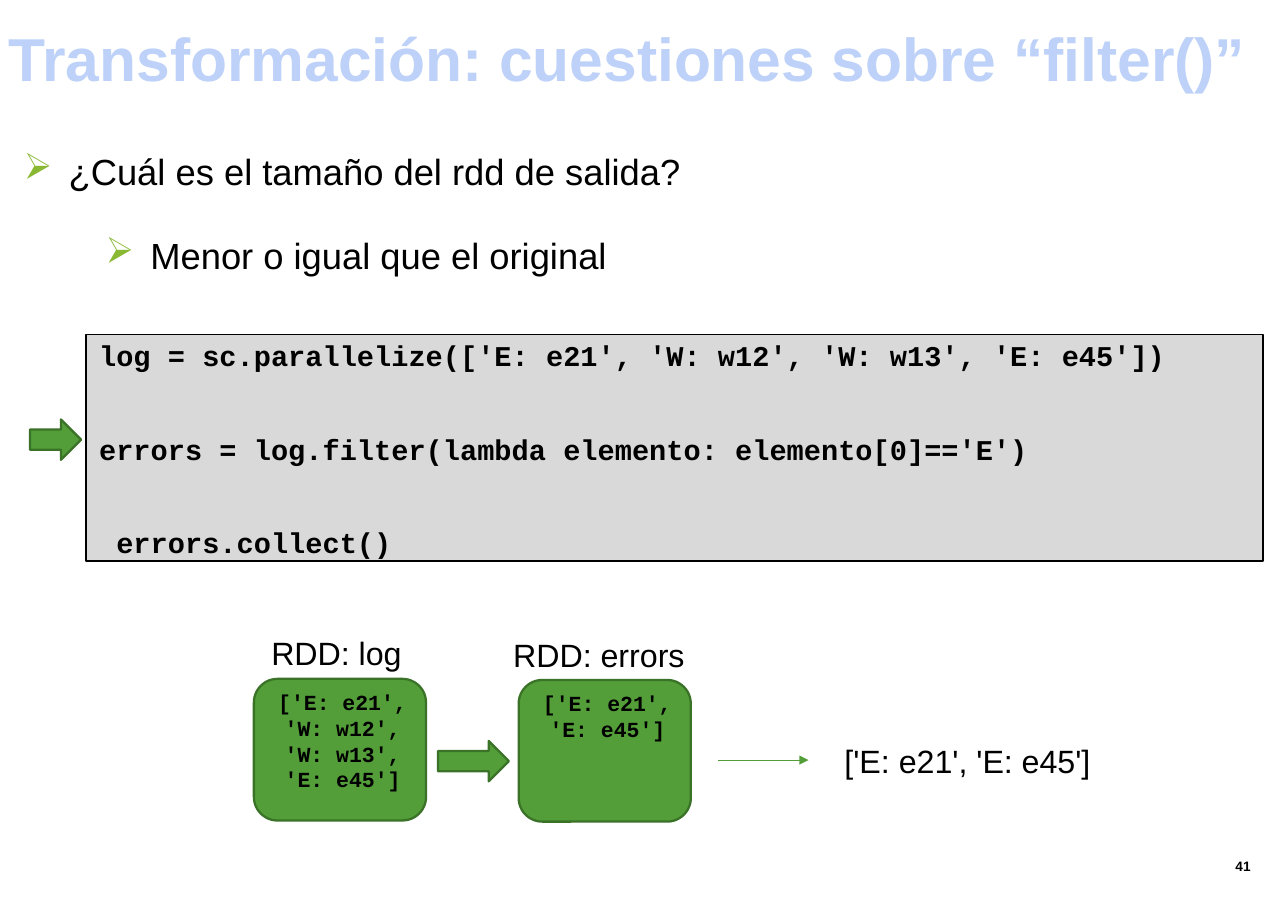
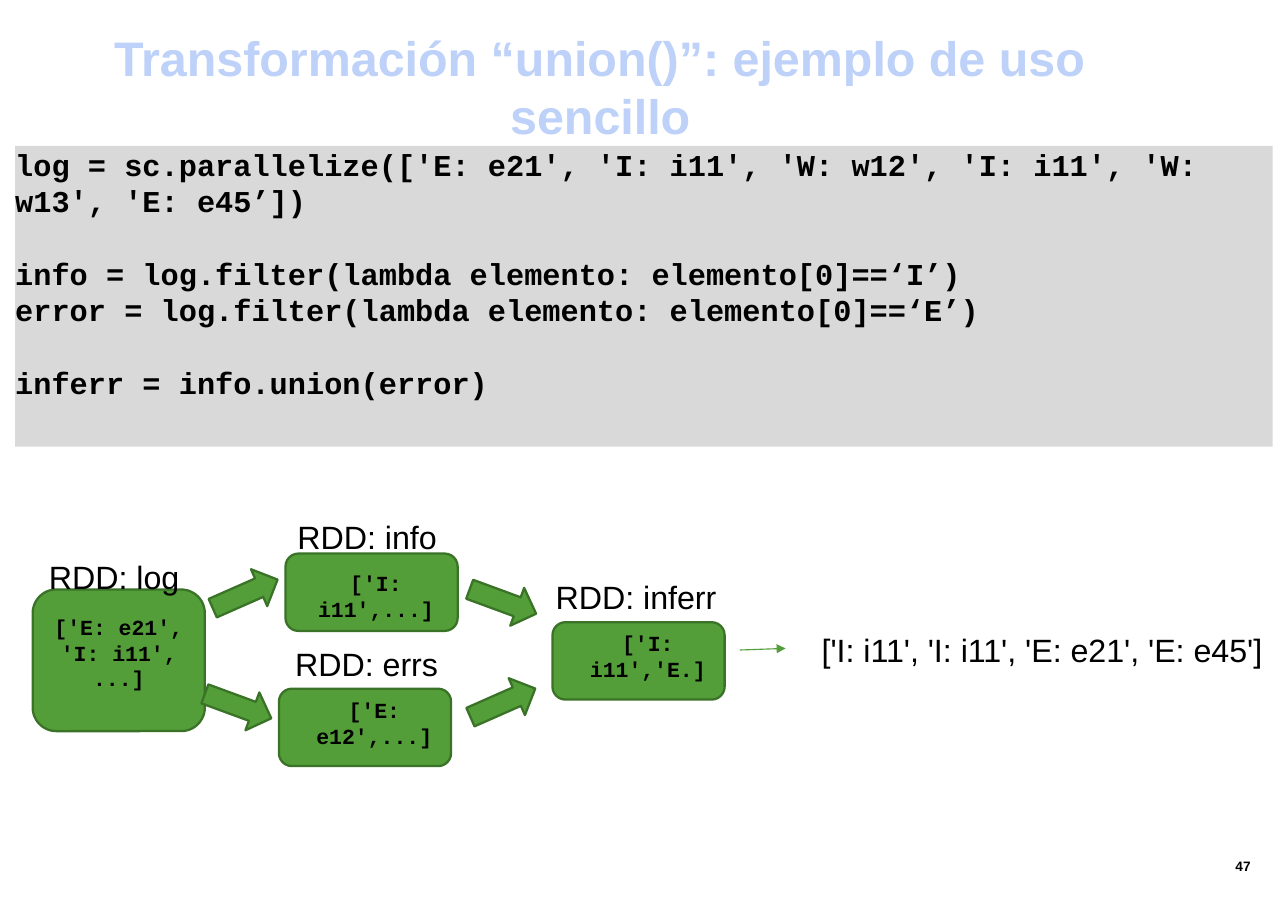
from lxml import etree
from pptx import Presentation
from pptx.dml.color import RGBColor
from pptx.enum.shapes import MSO_CONNECTOR, MSO_SHAPE
from pptx.enum.text import MSO_ANCHOR, MSO_AUTO_SIZE, PP_ALIGN
from pptx.oxml.ns import qn
from pptx.util import Inches, Pt

LEFT, CENTER = PP_ALIGN.LEFT, PP_ALIGN.CENTER
TOP, MIDDLE = MSO_ANCHOR.TOP, MSO_ANCHOR.MIDDLE
RECT, ROUNDED = MSO_SHAPE.RECTANGLE, MSO_SHAPE.ROUNDED_RECTANGLE
BLOCK_ARROW = MSO_SHAPE.RIGHT_ARROW
STRAIGHT = MSO_CONNECTOR.STRAIGHT
NO_FIT = MSO_AUTO_SIZE.NONE

COLORS = {
    "title": "BDD1F9",
    "text": "000000",
    "bullet": "89B833",
    "green": "539E39",
    "green_edge": "3A7327",
    "code": "D9D9D9",
}
SANS, MONO = "Arial", "Courier New"
TITLE_ONLY = 5
CELL = 0.1
NODE_W = 15.8
ARROW_W, ARROW_H = 6.5, 3.7


def rgb(name):
    return RGBColor.from_string(COLORS[name])


def cells(*values):
    return [Inches(v * CELL) for v in values]


def write(tf, lines, size=21.3, font=SANS, color="text", bold=False, align=LEFT,
          anchor=TOP, insets=(0, 0, 0, 0), wrap=True, spacing=None, before=None,
          margins=None, hanging=0, bullet=None):
    tf.auto_size = NO_FIT
    tf.word_wrap = wrap
    tf.vertical_anchor = anchor
    tf.margin_left, tf.margin_top, tf.margin_right, tf.margin_bottom = cells(*insets)
    for i, line in enumerate(lines):
        p = tf.paragraphs[0] if i == 0 else tf.add_paragraph()
        p.alignment = align
        if margins:
            left, first = cells(margins[i], -hanging)
            pPr = p._p.get_or_add_pPr()
            pPr.set("marL", str(left))
            pPr.set("indent", str(first))
        if spacing and i:
            p.line_spacing = spacing
        if before and before[i]:
            p.space_before = Pt(before[i])
        if bullet:
            pPr = p._p.get_or_add_pPr()
            bu_clr = etree.SubElement(pPr, qn("a:buClr"))
            etree.SubElement(bu_clr, qn("a:srgbClr"), val=COLORS["bullet"])
            etree.SubElement(pPr, qn("a:buFont"), typeface="Wingdings")
            etree.SubElement(pPr, qn("a:buChar"), char=bullet)
        r = p.add_run()
        r.text = line
        r.font.size = Pt(size)
        r.font.name = font
        r.font.bold = bold
        r.font.color.rgb = rgb(color)


class Deck:
    def __init__(self, width, height):
        self.prs = Presentation()
        self.prs.slide_width, self.prs.slide_height = Inches(width), Inches(height)
        self.s = None

    def slide(self, title, number, box, size):
        self.s = self.prs.slides.add_slide(self.prs.slide_layouts[TITLE_ONLY])
        sp = self.s.shapes.title
        sp.left, sp.top, sp.width, sp.height = cells(*box)
        write(sp.text_frame, [title], size=size, color="title", bold=True,
              align=CENTER, insets=(1, 0.5, 1, 0.5))
        self.text(112.4, 77.5, 4.6, 4, [str(number)], size=9, bold=True,
                  anchor=MIDDLE, insets=(1, 0.5, 1, 0.5), wrap=False)

    def text(self, x, y, w, h, lines, **style):
        sp = self.s.shapes.add_textbox(*cells(x, y, w, h))
        write(sp.text_frame, lines, **style)

    def shape(self, kind, x, y, w, h, fill, edge=None, weight=1.5):
        sp = self.s.shapes.add_shape(kind, *cells(x, y, w, h))
        sp.shadow.inherit = False
        sp.fill.solid()
        sp.fill.fore_color.rgb = rgb(fill)
        if edge:
            sp.line.color.rgb = rgb(edge)
            sp.line.width = Pt(weight)
        else:
            sp.line.fill.background()
        return sp

    def code(self, x, y, w, h, lines, edge=None, **style):
        sp = self.shape(RECT, x, y, w, h, "code", edge, weight=1)
        write(sp.text_frame, lines, font=MONO, bold=True, **style)

    def label(self, x, y, text):
        self.text(x, y, 16, 3.7, [text], wrap=False)

    def node(self, x, y, h, name, name_at, lines, drop, left=0, **style):
        sp = self.shape(ROUNDED, x, y, NODE_W, h, "green", "green_edge")
        write(sp.text_frame, lines, size=14.2, font=MONO, bold=True,
              insets=(left, drop, 0, 0), **style)
        self.label(*name_at, name)

    def block_arrow(self, cx, cy, w=ARROW_W, angle=0):
        sp = self.shape(BLOCK_ARROW, cx - w / 2, cy - ARROW_H / 2, w, ARROW_H,
                        "green", "green_edge")
        sp.rotation = angle

    def thin_arrow(self, x1, y1, x2, y2):
        c = self.s.shapes.add_connector(STRAIGHT, *cells(x1, y1, x2, y2))
        c.line.color.rgb = rgb("green")
        c.line.width = Pt(0.75)
        ln = c.line._get_or_add_ln()
        etree.SubElement(ln, qn("a:tailEnd"), type="triangle")
        etree.SubElement(c._element.spPr, qn("a:effectLst"))


def filter_slide(deck):
    deck.slide("Transformación: cuestiones sobre “filter()”", 41,
               (-0.9, 1.4, 116.9, 7.7), 40)
    deck.text(2, 12, 99.5, 14,
              ["¿Cuál es el tamaño del rdd de salida?", "Menor o igual que el original"],
              size=24, insets=(0, 1.7, 0, 0), margins=(4.3, 11.8), hanging=4.1,
              before=(0, 26.6), bullet="Ø")
    deck.code(7.9, 30.7, 108, 20.8,
              ["log = sc.parallelize(['E: e21', 'W: w12', 'W: w13', 'E: e45'])",
               "errors = log.filter(lambda elemento: elemento[0]=='E')",
               " errors.collect()"],
              edge="text", size=18.9, spacing=2.73, insets=(1.2, 0.3, 0, 0))
    deck.block_arrow(5.1, 40.35, w=4.7)

    deck.node(23.3, 62.3, 13, "RDD: log", (24.9, 58.1),
              ["['E: e21',", "'W: w12',", "'W: w13',", "'E: e45']"],
              drop=0.3, left=1.6, margins=(0, 0.6, 0.6, 0.6))
    deck.block_arrow(43.45, 69.85)
    deck.node(47.6, 62.4, 13, "RDD: errors", (47.1, 58.3),
              ["['E: e21',", "'E: e45']"], drop=0.3, left=1.6, margins=(0, 0.6))
    deck.thin_arrow(65.9, 69.75, 74.2, 69.75)
    deck.label(77.5, 68, "['E: e21', 'E: e45']")


def union_slide(deck):
    deck.slide("Transformación “union()”: ejemplo de uso sencillo", 47,
               (0.7, 2.1, 108.8, 11.3), 32)
    deck.code(1.4, 13.4, 115.4, 27.6,
              ["log = sc.parallelize(['E: e21', 'I: i11', 'W: w12', 'I: i11', 'W: w13', 'E: e45’])",
               "info = log.filter(lambda elemento: elemento[0]==‘I’)",
               "error = log.filter(lambda elemento: elemento[0]==‘E’)",
               "inferr = info.union(error)"],
              size=20, before=(0, 24, 0, 24))

    deck.node(3, 54.1, 13, "RDD: log", (4.5, 51.1),
              ["['E: e21',", "'I: i11',", "...]"], drop=1.6, align=CENTER)
    for x, y, name, name_at, line, drop, left in (
        (26.2, 50.8, "RDD: info", (27.3, 47.5), "['I: i11',...]", 1.2, 0.8),
        (25.6, 63.2, "RDD: errs", (27.1, 59.1), "['E: e12',...]", 0.4, 1.7),
        (50.7, 57.1, "RDD: inferr", (51, 53), "['I: i11','E.]", 0.4, 1.7),
    ):
        deck.node(x, y, 7.1, name, name_at, [line], drop, left, align=CENTER)
    for cx, cy, angle in ((22.5, 54.5, -23.8), (21.85, 64.8, 20.2),
                          (46.15, 55.2, 20.2), (46.15, 64.5, -23.8)):
        deck.block_arrow(cx, cy, angle=angle)
    deck.thin_arrow(67.9, 59.65, 72.1, 59.5)
    deck.label(75.4, 57.8, "['I: i11', 'I: i11', 'E: e21', 'E: e45']")


def main():
    deck = Deck(11.82, 8.47)
    filter_slide(deck)
    union_slide(deck)
    deck.prs.save("out.pptx")


if __name__ == "__main__":
    main()
